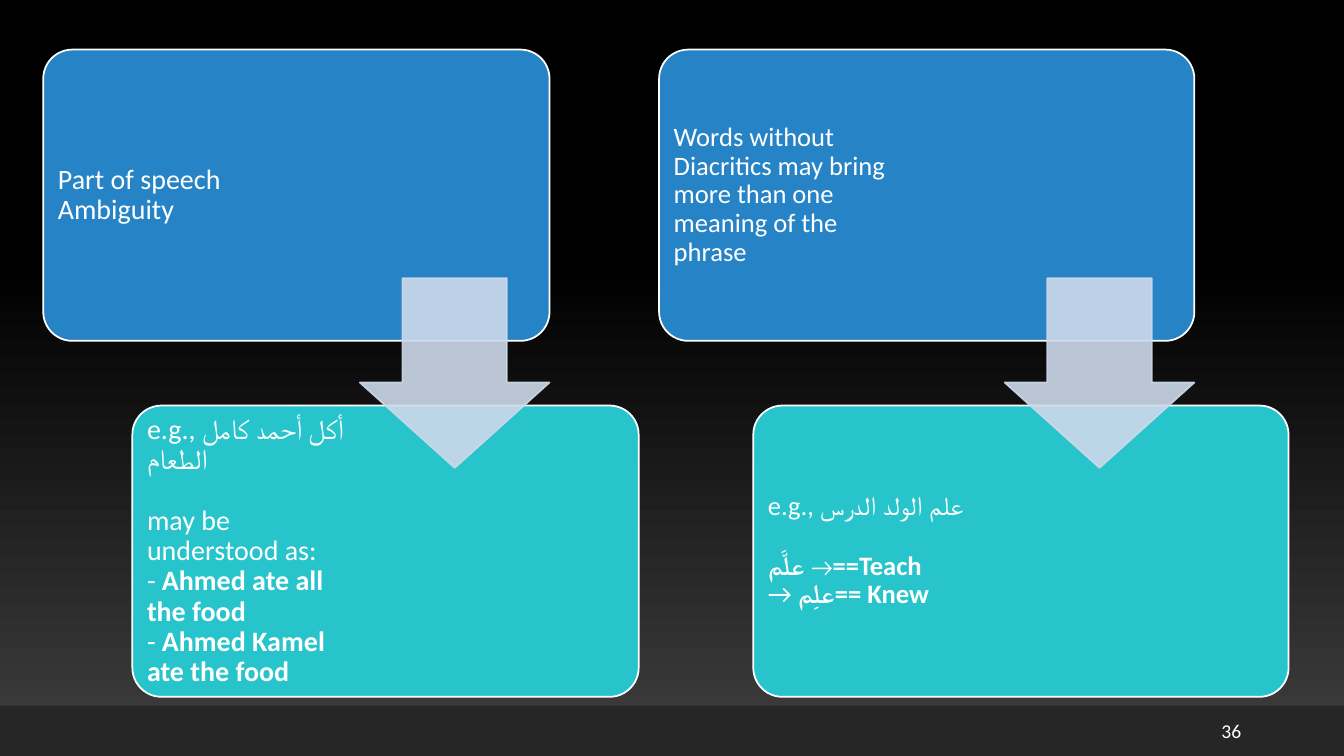
from dataclasses import dataclass

import pptx
import pptx.dml.color
import pptx.enum.shapes
import pptx.enum.text
import pptx.oxml
import pptx.oxml.ns
import pptx.util
from pptx.util import Cm, Pt

RGB = pptx.dml.color.RGBColor.from_string
SHAPE = pptx.enum.shapes.MSO_SHAPE
BLANK_LAYOUT = 6


@dataclass(frozen=True)
class Theme:
    font: str = "Calibri"
    text: str = "FFFFFF"
    topic: str = "2683C6"
    example: str = "28C4CC"
    arrow: str = "CDD9EA"
    footer: str = "262626"
    background_bottom: str = "3F3F3F"
    background_top: str = "000000"
    left_size: int = 20
    right_size: int = 19
    number_size: int = 14
    outline: float = 1.25
    arrow_opacity: int = 90


THEME = Theme()

CARD_HEIGHT = 7.34
TOPIC_TOP = 1.25
EXAMPLE_TOP = 10.22
EXAMPLE_SHIFT = 0.176  # share of the card width
TEXT_INSET = 0.17
ARROW_TOP = 7.01
ARROW_SIZE = 4.78

# A paragraph is a list of lines; a line is a list of (text, bold) pieces.
LEFT_TOPIC = [[[("Part of speech Ambiguity", False)]]]
LEFT_EXAMPLE = [
    [[("e.g., أكل أحمد كامل الطعام", False)]],
    [
        [("may be understood as:", False)],
        [("- ", False), ("Ahmed ate all the food", True)],
        [("- ", False), ("Ahmed Kamel ate the food", True)],
    ],
]
RIGHT_TOPIC = [[[(
    "Words without Diacritics may bring more than one meaning of the phrase", False)]]]
RIGHT_EXAMPLE = [
    [[("e.g., علم الولد الدرس", False)]],
    [
        [("علَّم", True), (" →", False), ("==Teach", True)],
        [("→ ", False), ("علِم== Knew", True)],
    ],
]


def paint_background(slide):
    fill = slide.background.fill
    fill.gradient()
    fill.gradient_angle = 90
    colors = (THEME.background_bottom, THEME.background_top)
    for stop, color, position in zip(fill.gradient_stops, colors, (0, 0.65)):
        stop.color.rgb = RGB(color)
        stop.position = position


def add_block(slide, kind, left, top, width, height, fill, line=None):
    shape = slide.shapes.add_shape(kind, Cm(left), Cm(top), Cm(width), Cm(height))
    shape.shadow.inherit = False
    shape.fill.solid()
    shape.fill.fore_color.rgb = RGB(fill)
    if line:
        shape.line.color.rgb = RGB(line)
        shape.line.width = Pt(THEME.outline)
    else:
        shape.line.fill.background()
    return shape


def add_text(slide, left, top, width, height, paragraphs, size, margin):
    box = slide.shapes.add_textbox(Cm(left), Cm(top), Cm(width), Cm(height))
    frame = box.text_frame
    frame.word_wrap = True
    frame.vertical_anchor = pptx.enum.text.MSO_ANCHOR.MIDDLE
    frame.margin_left = frame.margin_right = Cm(margin)
    frame.margin_top = frame.margin_bottom = Cm(margin)
    for index, lines in enumerate(paragraphs):
        paragraph = frame.add_paragraph() if index else frame.paragraphs[0]
        paragraph.line_spacing = 0.9
        paragraph.space_after = Pt(7)
        paragraph.space_before = Pt(15 if index else 0)
        for number, line in enumerate(lines):
            if number:
                paragraph.add_line_break()
            for text, bold in line:
                run = paragraph.add_run()
                run.text = text
                run.font.name = THEME.font
                run.font.size = Pt(size)
                run.font.bold = bold
                run.font.color.rgb = RGB(THEME.text)
    return box


def add_card(slide, left, top, width, fill, text_width, paragraphs, size):
    card = add_block(slide, SHAPE.ROUNDED_RECTANGLE, left, top, width, CARD_HEIGHT,
                     fill, THEME.text)
    card.adjustments[0] = 0.1
    add_text(slide, left + TEXT_INSET, top + TEXT_INSET, text_width,
             CARD_HEIGHT - 2 * TEXT_INSET, paragraphs, size, 0.2)


def add_down_arrow(slide, left):
    arrow = add_block(slide, SHAPE.DOWN_ARROW, left, ARROW_TOP, ARROW_SIZE, ARROW_SIZE,
                      THEME.arrow, THEME.arrow)
    arrow.adjustments[0] = 0.55
    arrow.adjustments[1] = 0.45
    for color in arrow.element.spPr.iter(pptx.oxml.ns.qn("a:srgbClr")):
        alpha = pptx.oxml.parse_xml(
            f'<a:alpha {pptx.oxml.ns.nsdecls("a")} val="{THEME.arrow_opacity * 1000}"/>')
        color.append(alpha)


def add_step_pair(slide, left, width, topic, example, text_widths, size):
    """Add a topic card, its example card below and the arrow between them."""
    add_card(slide, left, TOPIC_TOP, width, THEME.topic, text_widths[0], topic, size)
    add_card(slide, left + EXAMPLE_SHIFT * width, EXAMPLE_TOP, width, THEME.example,
             text_widths[1], example, size)
    add_down_arrow(slide, left + width - ARROW_SIZE)


def main():
    presentation = pptx.Presentation()
    presentation.slide_width = Cm(33.87)
    presentation.slide_height = Cm(19.05)
    slide = presentation.slides.add_slide(presentation.slide_layouts[BLANK_LAYOUT])

    paint_background(slide)
    add_block(slide, SHAPE.RECTANGLE, 0, 17.78, 33.87, 1.27, THEME.footer)
    add_step_pair(slide, 1.09, 12.76, LEFT_TOPIC, LEFT_EXAMPLE, (5.28, 5.41),
                  THEME.left_size)
    add_step_pair(slide, 16.61, 13.49, RIGHT_TOPIC, RIGHT_EXAMPLE, (5.97, 5.97),
                  THEME.right_size)
    number = add_text(slide, 30.53, 17.91, 1.27, 1.02, [[[("36", False)]]],
                      THEME.number_size, 0.25)
    number.text_frame.paragraphs[0].line_spacing = 1.0
    number.text_frame.paragraphs[0].space_after = Pt(0)

    presentation.save("out.pptx")


if __name__ == "__main__":
    main()
